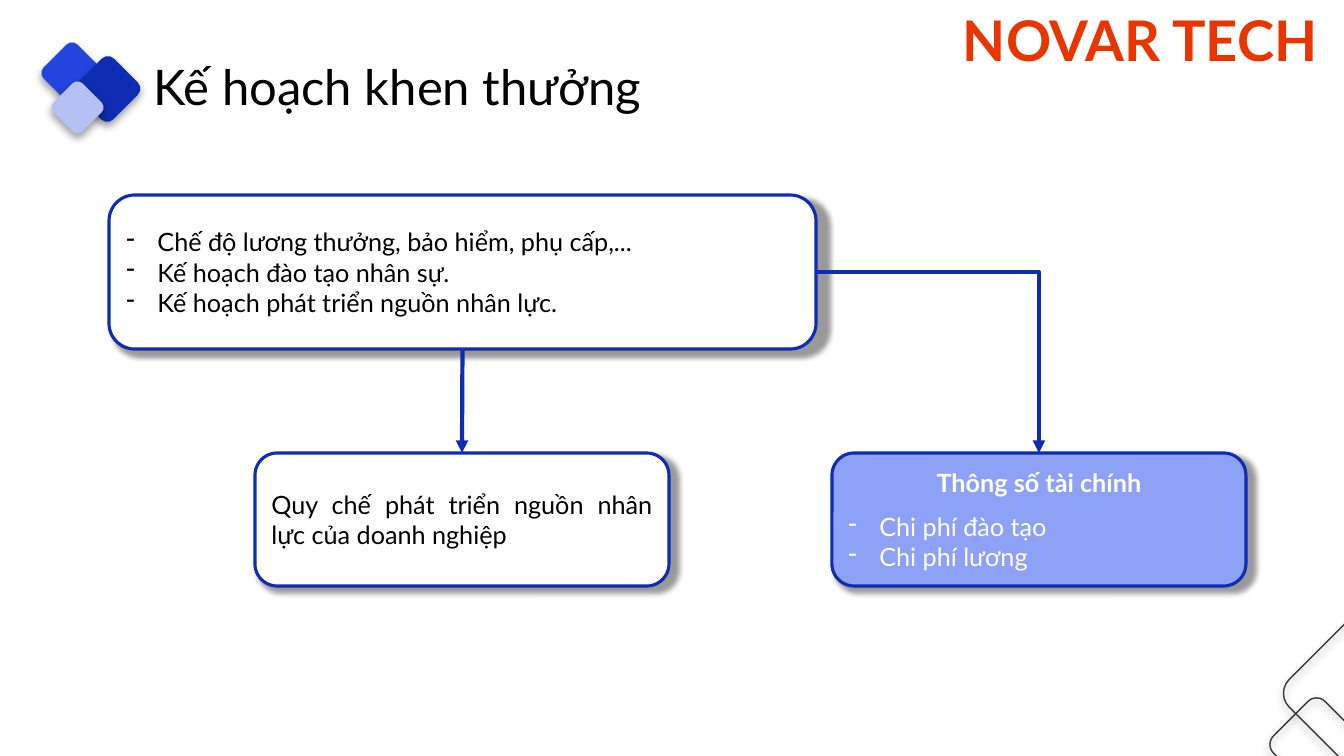
from dataclasses import dataclass
from typing import Any

from lxml.etree import SubElement
from pptx import Presentation
from pptx.dml.color import RGBColor as Rgb
from pptx.enum.shapes import MSO_CONNECTOR as Connector, MSO_SHAPE as Preset
from pptx.enum.text import MSO_ANCHOR as Anchor, MSO_AUTO_SIZE as AutoSize, PP_ALIGN as Align
from pptx.oxml.ns import qn
from pptx.util import Emu, Inches, Pt

PIXEL = Inches(1) / 100.8
COLORS = {
    "royal": "2345DF", "navy": "0E2DB2", "pale": "B5C1F2", "periwinkle": "8DA1F6",
    "orange": "E93601", "charcoal": "393737", "white": "FFFFFF", "black": "000000",
}
FRAME_FORMAT = {"word_wrap": True, "auto_size": AutoSize.NONE, "vertical_anchor": Anchor.MIDDLE}
HANGING_INDENT = 31


@dataclass(frozen=True)
class Shadow:
    opacity: int
    blur: int
    distance: int
    angle: int
    scale: int = 100


@dataclass(frozen=True)
class Diamond:
    left: int
    top: int
    width: int
    height: int
    fill: str | None = None
    line: str | None = None


@dataclass(frozen=True)
class Line:
    text: str
    align: Align = Align.LEFT
    bullet: bool = False
    bold: bool = False
    space_before: float = 0


@dataclass(frozen=True)
class Box:
    left: int
    top: int
    width: int
    height: int
    fill: str
    text_color: str
    lines: tuple[Line, ...]


DIAMOND_SHADOW = Shadow(39, 6, 3, 90)
BOX_SHADOW = Shadow(40, 4, 4, 45, 101)

DIAMONDS = (
    Diamond(48, 49, 48, 48, fill="royal"),
    Diamond(82, 63, 51, 52, fill="navy"),
    Diamond(57, 87, 41, 41, fill="pale"),
    Diamond(1280, 708, 73, 73, line="charcoal"),
    Diamond(1300, 634, 117, 118, line="charcoal"),
)
PLAN = Box(109, 195, 707, 154, "white", "black", (
    Line("Chế độ lương thưởng, bảo hiểm, phụ cấp,...", bullet=True),
    Line("Kế hoạch đào tạo nhân sự.", bullet=True),
    Line("Kế hoạch phát triển nguồn nhân lực.", bullet=True),
))
REGULATION = Box(255, 453, 414, 133, "white", "black", (
    Line("Quy chế phát triển nguồn nhân lực của doanh nghiệp", Align.JUSTIFY),
))
FINANCE = Box(832, 453, 414, 133, "periwinkle", "white", (
    Line("Thông số tài chính", Align.CENTER, bold=True),
    Line("Chi phí đào tạo", Align.JUSTIFY, bullet=True, space_before=9.6),
    Line("Chi phí lương", Align.JUSTIFY, bullet=True),
))


def px(pixels: float) -> Emu:
    return Emu(round(pixels * PIXEL))


def color(name: str) -> Rgb:
    return Rgb.from_string(COLORS[name])


def apply(target: Any, values: dict[str, Any]) -> None:
    for name, value in values.items():
        setattr(target, name, value)


def place(left: int, top: int, width: int, height: int) -> dict[str, Emu]:
    return {"left": px(left), "top": px(top), "width": px(width), "height": px(height)}


def set_font(font: Any, size: float, color_name: str, bold: bool = False) -> None:
    apply(font, {"name": "Lato", "size": Pt(size), "bold": bold})
    font.color.rgb = color(color_name)


def add_shadow(shape: Any, shadow: Shadow) -> None:
    shape.shadow.inherit = False
    effects = shape._element.spPr.find(qn("a:effectLst"))
    outer = SubElement(effects, qn("a:outerShdw"), {
        "blurRad": str(Pt(shadow.blur)), "dist": str(Pt(shadow.distance)),
        "dir": str(shadow.angle * 60000), "sx": str(shadow.scale * 1000),
        "sy": str(shadow.scale * 1000), "algn": "tl", "rotWithShape": "0",
    })
    tint = SubElement(outer, qn("a:srgbClr"), val=COLORS["black"])
    SubElement(tint, qn("a:alpha"), val=str(shadow.opacity * 1000))


def add_rounded(slide: Any, item: Diamond | Box, shadow: Shadow,
                line: str | None, weight: float) -> Any:
    shape = slide.shapes.add_shape(
        Preset.ROUNDED_RECTANGLE, **place(item.left, item.top, item.width, item.height))
    add_shadow(shape, shadow)
    if item.fill:
        shape.fill.solid()
        shape.fill.fore_color.rgb = color(item.fill)
    else:
        shape.fill.background()
    if line:
        shape.line.color.rgb = color(line)
        shape.line.width = Pt(weight)
    else:
        shape.line.fill.background()
    return shape


def add_box(slide: Any, box: Box) -> Any:
    shape = add_rounded(slide, box, BOX_SHADOW, "navy", 2.25)
    frame = shape.text_frame
    apply(frame, FRAME_FORMAT)
    for index, line in enumerate(box.lines):
        paragraph = frame.add_paragraph() if index else frame.paragraphs[0]
        apply(paragraph, {"text": line.text, "alignment": line.align,
                          "space_before": Pt(line.space_before)})
        set_font(paragraph.runs[0].font, 18, box.text_color, line.bold)
        if line.bullet:
            properties = paragraph._p.get_or_add_pPr()
            properties.set("marL", str(px(HANGING_INDENT)))
            properties.set("indent", str(-px(HANGING_INDENT)))
            SubElement(properties, qn("a:buChar"), char="-")
    return shape


def add_arrow(slide: Any, kind: Connector, source: Any, site: int, target: Any) -> Any:
    arrow = slide.shapes.add_connector(kind, 0, 0, 0, 0)
    arrow.begin_connect(source, site)
    arrow.end_connect(target, 0)
    arrow.line.color.rgb = color("navy")
    arrow.line.width = Pt(3)
    properties = arrow._element.spPr
    SubElement(properties.find(qn("a:ln")), qn("a:tailEnd"), type="triangle")
    SubElement(properties, qn("a:effectLst"))
    return arrow


presentation = Presentation()
apply(presentation, {"slide_width": px(1344), "slide_height": px(756)})
slide = presentation.slides.add_slide(presentation.slide_layouts[5])

# Title
title = slide.shapes.title
apply(title, place(143, 51, 970, 70))
apply(title.text_frame, FRAME_FORMAT | {"text": "Kế hoạch khen thưởng"})
title.text_frame.paragraphs[0].alignment = Align.LEFT
set_font(title.text_frame.paragraphs[0].runs[0].font, 35, "black")

# Diamond ornaments
for diamond in DIAMONDS:
    add_rounded(slide, diamond, DIAMOND_SHADOW, diamond.line, 1).rotation = 45

# Company name
company = slide.shapes.add_textbox(**place(953, 0, 391, 78))
apply(company.text_frame, FRAME_FORMAT | {"text": "NOVAR TECH"})
set_font(company.text_frame.paragraphs[0].runs[0].font, 40, "orange", bold=True)

# Flow boxes
plan, regulation, finance = (add_box(slide, box) for box in (PLAN, REGULATION, FINANCE))

# Arrows from the plan: bottom side down, right side around the corner
add_arrow(slide, Connector.STRAIGHT, plan, 2, regulation)
elbow = add_arrow(slide, Connector.ELBOW, plan, 3, finance)
elbow._element.spPr.find(qn("a:prstGeom")).set("prst", "bentConnector2")

presentation.save("out.pptx")
